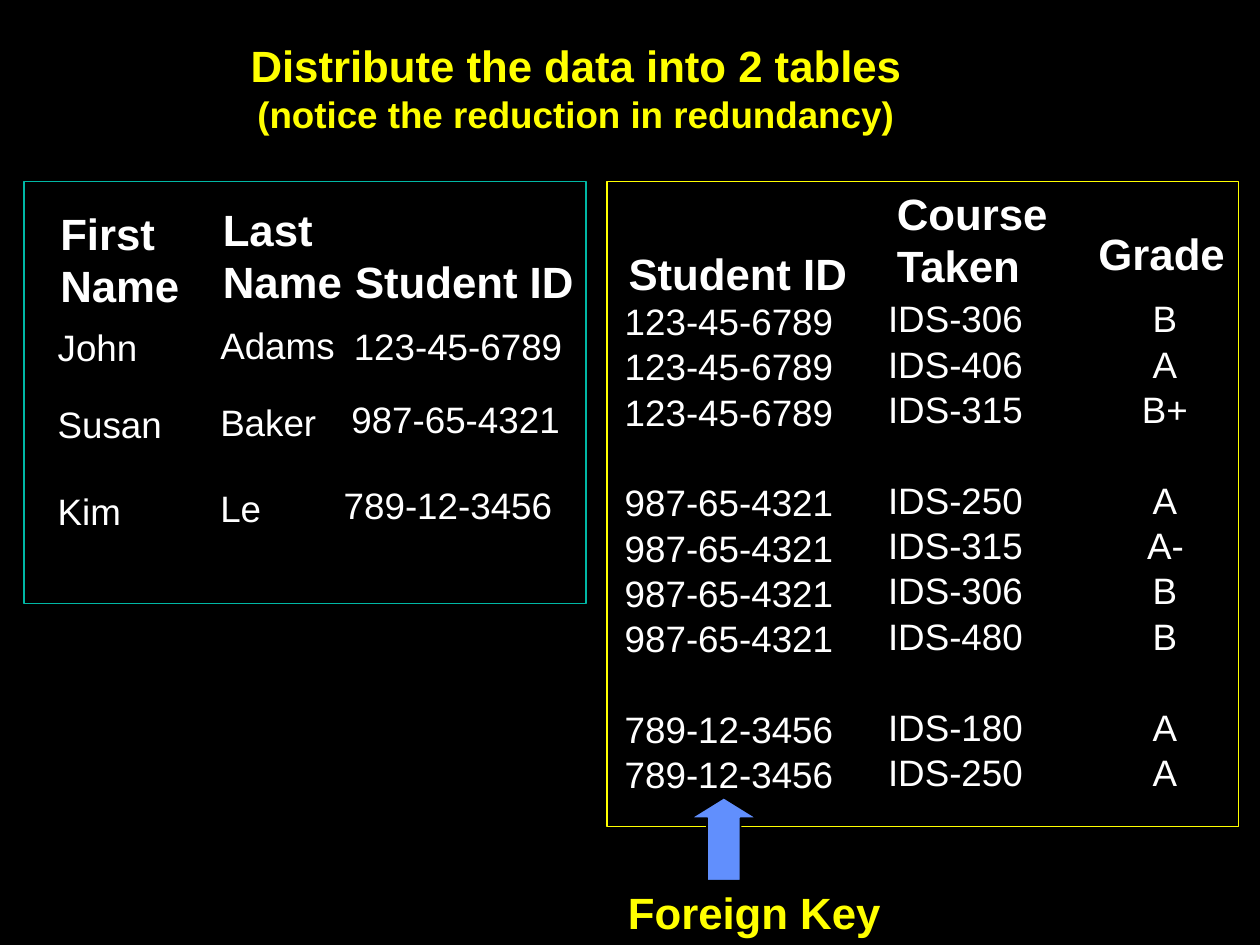
import pptx
import pptx.dml.color
import pptx.enum.shapes
import pptx.enum.text
import pptx.util

Inches = pptx.util.Inches
SHAPE = pptx.enum.shapes.MSO_SHAPE
ALIGN = pptx.enum.text.PP_ALIGN

WHITE, YELLOW, BLACK = "FFFFFF", "FFFF00", "000000"
HEAD, BODY = 25, 21  # text sizes in points
ID_W, ROW_H, GAP = 1.86, 0.45, 0.36

# Heading text, left, top, width, height
HEADS = [
    ("First\nName", 0.38, 1.59, 1.15, 0.93),
    ("Last\nName", 1.67, 1.56, 1.15, 0.93),
    ("Student ID", 2.72, 1.97, 1.94, 0.52),
    ("Student ID", 4.89, 1.91, 1.94, 0.52),
    ("Course\nTaken", 7.02, 1.43, 1.59, 0.93),
    ("Grade", 8.62, 1.75, 1.2, 0.52),
]

# Row top, then text and width of both names, then the ID, its left and top
PEOPLE = [
    (2.53, "John", 0.83, "Adams", 1.11, "123-45-6789", 2.71, 2.52),
    (3.14, "Susan", 1.03, "Baker", 0.96, "987-65-4321", 2.69, 3.1),
    (3.83, "Kim", 0.7, "Le", 0.53, "789-12-3456", 2.63, 3.78),
]

# Courses and grades of each student
COURSES = [
    ("123-45-6789", [("IDS-306", "B"), ("IDS-406", "A"), ("IDS-315", "B+")]),
    ("987-65-4321", [("IDS-250", "A"), ("IDS-315", "A-"),
                     ("IDS-306", "B"), ("IDS-480", "B")]),
    ("789-12-3456", [("IDS-180", "A"), ("IDS-250", "A")]),
]
GRADE_W = {"B+": 0.57, "A-": 0.49}
GRADE_MID = 9.25


def color(code):
    return pptx.dml.color.RGBColor.from_string(code)


def style(frame, text, size, code, bold, align):
    frame.text = text
    frame.word_wrap = False
    frame.auto_size = pptx.enum.text.MSO_AUTO_SIZE.SHAPE_TO_FIT_TEXT
    frame.vertical_anchor = pptx.enum.text.MSO_ANCHOR.TOP
    for para in frame.paragraphs:
        para.alignment = align
        for run in para.runs:
            font = run.font
            font.name, font.bold = "Arial", bold
            font.size = pptx.util.Pt(size)
            font.color.rgb = color(code)


def label(slide, text, left, top, width, height=ROW_H, size=BODY,
          code=WHITE, bold=False, align=ALIGN.LEFT):
    box = slide.shapes.add_textbox(*map(Inches, (left, top, width, height)))
    style(box.text_frame, text, size, code, bold, align)


def shape(slide, kind, left, top, width, height, line, fill=None):
    item = slide.shapes.add_shape(
        kind, *map(Inches, (left, top, width, height)))
    item.shadow.inherit = False
    item.line.color.rgb = color(line)
    item.line.width = pptx.util.Pt(1)
    if fill:
        item.fill.solid()
        item.fill.fore_color.rgb = color(fill)
    else:
        item.fill.background()
    return item


def title(slide):
    # Wide enough for each line to stay whole
    head = slide.shapes.title
    head.left, head.top = Inches(1.72), Inches(0.26)
    head.width, head.height = Inches(5.7), Inches(0.87)
    text = "Distribute the data into 2 tables\n(notice the reduction in redundancy)"
    style(head.text_frame, text, HEAD, YELLOW, True, ALIGN.CENTER)
    head.text_frame.paragraphs[1].runs[0].font.size = pptx.util.Pt(BODY)


def people(slide):
    for top, first, first_w, last, last_w, code, left, code_top in PEOPLE:
        label(slide, first, 0.36, top, first_w)
        label(slide, last, 1.65, top - 0.02, last_w)
        label(slide, code, left, code_top, ID_W)


def courses(slide):
    top = 2.32
    for code, rows in COURSES:
        for course, grade in rows:
            width = GRADE_W.get(grade, 0.4)
            label(slide, code, 4.86, top, ID_W)
            label(slide, course, 6.95, top - 0.02, 1.27)
            label(slide, grade, GRADE_MID - width / 2, top - 0.02, width)
            top += GAP
        top += GAP  # one free row between students


def main():
    deck = pptx.Presentation()
    deck.slide_width, deck.slide_height = Inches(10), Inches(7.5)
    slide = deck.slides.add_slide(deck.slide_layouts[5])
    slide.background.fill.solid()
    slide.background.fill.fore_color.rgb = color(BLACK)

    # Title and column headings
    title(slide)
    for text, *place in HEADS:
        label(slide, text, *place, size=HEAD, bold=True)

    # Rows of both tables
    people(slide)
    courses(slide)

    # Frames around the tables
    shape(slide, SHAPE.RECTANGLE, 0.19, 1.44, 4.46, 3.35, "00B7A5")
    shape(slide, SHAPE.RECTANGLE, 4.82, 1.44, 5.01, 5.12, YELLOW)

    # Foreign key mark
    label(slide, "Foreign Key", 4.88, 6.98, 2.21, 0.52, HEAD, YELLOW,
          True, ALIGN.CENTER)
    arrow = shape(slide, SHAPE.UP_ARROW, 5.48, 6.33, 0.53, 0.66,
                  BLACK, "618FFD")
    arrow.adjustments[1] = 0.31

    deck.save("out.pptx")


if __name__ == "__main__":
    main()
